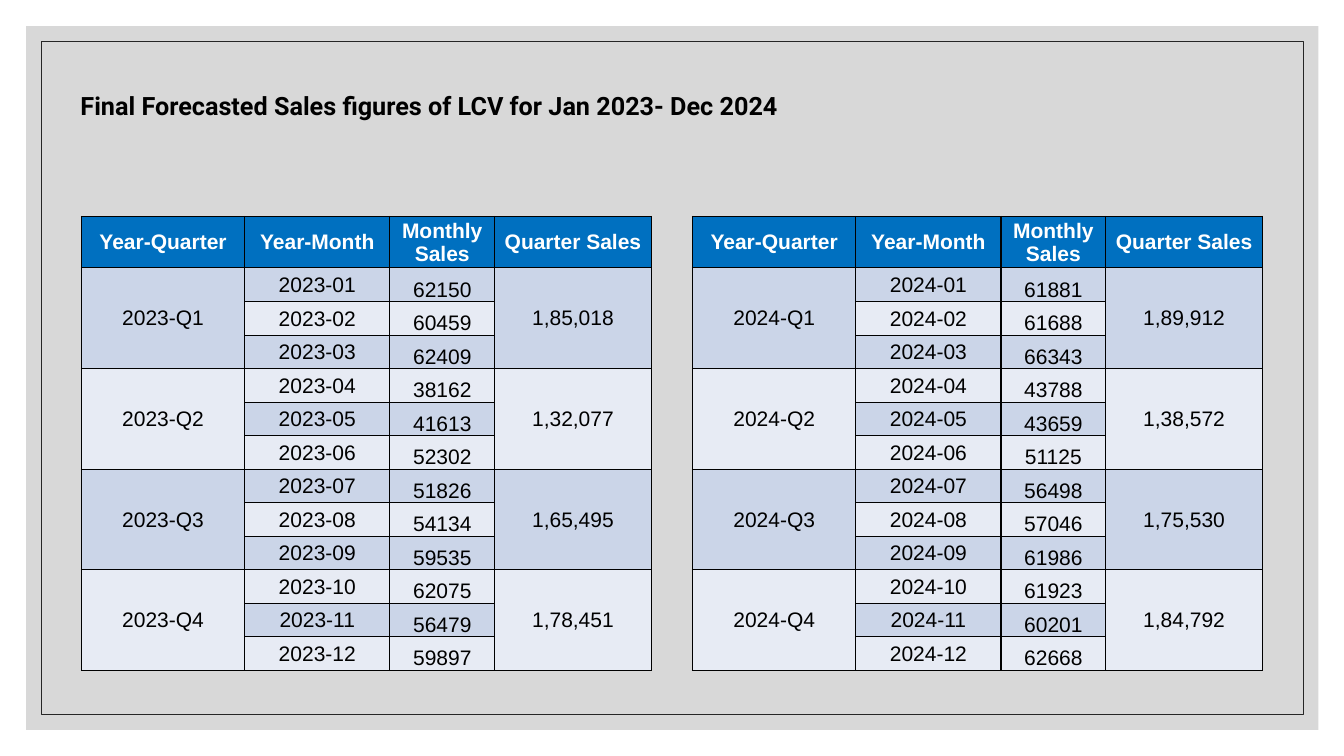
from dataclasses import dataclass

from lxml.etree import SubElement
from pptx import Presentation
from pptx.dml.color import RGBColor as RGB
from pptx.enum.shapes import MSO_SHAPE as Shape
from pptx.enum.text import MSO_ANCHOR as Anchor, PP_ALIGN as Align
from pptx.oxml import parse_xml
from pptx.oxml.ns import nsdecls, qn
from pptx.util import Pt


@dataclass(frozen=True)
class Theme:
    panel: str = "BFBFBF"
    panel_alpha: int = 60
    frame: str = "262626"
    header: str = "0070C0"
    band_dark: str = "CBD5E8"
    band_light: str = "E7EBF4"
    text: str = "000000"
    header_text: str = "FFFFFF"
    border: str = "000000"
    title_font: str = "Roboto"
    table_font: str = "Arial"
    title_size: int = 18
    table_size: int = 15


class SlideBuilder:
    def __init__(self, slide, theme):
        self.s, self.t = slide, theme

    def rect(self, x, y, w, h, fill=None, alpha=100, line=None):
        sp = self.s.shapes.add_shape(Shape.RECTANGLE, Pt(x), Pt(y), Pt(w), Pt(h))
        sp.shadow.inherit = False
        if fill:
            sp.fill.solid()
            sp.fill.fore_color.rgb = RGB.from_string(fill)
            color = sp.fill._xPr.find(".//" + qn("a:srgbClr"))
            SubElement(color, qn("a:alpha"), val=str(alpha * 1000))
        else:
            sp.fill.background()
        if line:
            sp.line.color.rgb = RGB.from_string(line)
            sp.line.width = Pt(0.5)
        else:
            sp.line.fill.background()

    def run(self, p, text, font, size, color, bold):
        r = p.add_run()
        r.text = text
        r.font.name, r.font.size, r.font.bold = font, Pt(size), bold
        r.font.color.rgb = RGB.from_string(color)

    def title(self, text, x, y, w, h):
        tf = self.s.shapes.add_textbox(Pt(x), Pt(y), Pt(w), Pt(h)).text_frame
        tf.word_wrap = True
        t = self.t
        self.run(tf.paragraphs[0], text, t.title_font, t.title_size, t.text, True)

    def cell(self, cell, text, fill, color, bold=False, anchor=Anchor.MIDDLE):
        cell.margin_left = cell.margin_right = cell.margin_top = Pt(0.72)
        cell.margin_bottom = 0
        cell.vertical_anchor = anchor
        cell.fill.solid()
        cell.fill.fore_color.rgb = RGB.from_string(fill)
        # Borders come before the fill in the cell properties
        tcPr = cell._tc.get_or_add_tcPr()
        for i, side in enumerate(("lnL", "lnR", "lnT", "lnB")):
            tcPr.insert(i, parse_xml(
                f'<a:{side} {nsdecls("a")} w="{Pt(1)}"><a:solidFill>'
                f'<a:srgbClr val="{self.t.border}"/></a:solidFill></a:{side}>'))
        if text:
            p = cell.text_frame.paragraphs[0]
            p.alignment = Align.CENTER
            self.run(p, text, self.t.table_font, self.t.table_size, color, bold)

    def sales_table(self, x, y, year, sales):
        t = self.t
        heights = [36.4, 24.6] + [23.94] * (len(sales) - 1)
        tbl = self.s.shapes.add_table(len(heights), len(COLUMNS), Pt(x), Pt(y),
                                      Pt(sum(COLUMNS.values())), Pt(sum(heights))).table
        tbl.first_row = tbl.horz_banding = False
        for row, height in zip(tbl.rows, heights):
            row.height = Pt(height)
        for c, (name, width) in enumerate(COLUMNS.items()):
            tbl.columns[c].width = Pt(width)
            self.cell(tbl.cell(0, c), name, t.header, t.header_text, True)

        for month, amount in enumerate(sales, 1):
            quarter, later = divmod(month - 1, 3)
            total = sum(sales[month - 1:month + 2])
            texts = ["" if later else f"{year}-Q{quarter + 1}",
                     f"{year}-{month:02}", str(amount),
                     "" if later else lakh(total)]
            fill = t.band_dark if month % 2 else t.band_light
            for c, text in enumerate(texts):
                anchor = Anchor.BOTTOM if c == 2 else Anchor.MIDDLE
                self.cell(tbl.cell(month, c), text, fill, t.text, anchor=anchor)
            if not later:
                for c in (0, 3):
                    tbl.cell(month, c).merge(tbl.cell(month + 2, c))


def lakh(n):
    """Indian digit grouping for a six-digit number."""
    return f"{n // 100000},{n // 1000 % 100:02},{n % 1000:03}"


COLUMNS = {"Year-Quarter": 116.6, "Year-Month": 103.7,
           "Monthly Sales": 74.9, "Quarter Sales": 111.8}
SALES = {
    2023: [62150, 60459, 62409, 38162, 41613, 52302,
           51826, 54134, 59535, 62075, 56479, 59897],
    2024: [61881, 61688, 66343, 43788, 43659, 51125,
           56498, 57046, 61986, 61923, 60201, 62668],
}


def main():
    prs = Presentation()
    prs.slide_width, prs.slide_height = Pt(960), Pt(540)
    theme = Theme()
    b = SlideBuilder(prs.slides.add_slide(prs.slide_layouts[6]), theme)

    # Background panel and frame
    b.rect(18.7, 18.7, 923, 502.6, fill=theme.panel, alpha=theme.panel_alpha)
    b.rect(29.5, 29.5, 901.4, 481, line=theme.frame)

    # One table per year, side by side
    for i, (year, sales) in enumerate(SALES.items()):
        b.sales_table(58.2 + i * 436.5, 154.6, year, sales)

    # Title
    b.title("Final Forecasted Sales figures of LCV for Jan 2023- Dec 2024",
            50.4, 61.2, 584.6, 28.8)
    prs.save("out.pptx")


if __name__ == "__main__":
    main()
